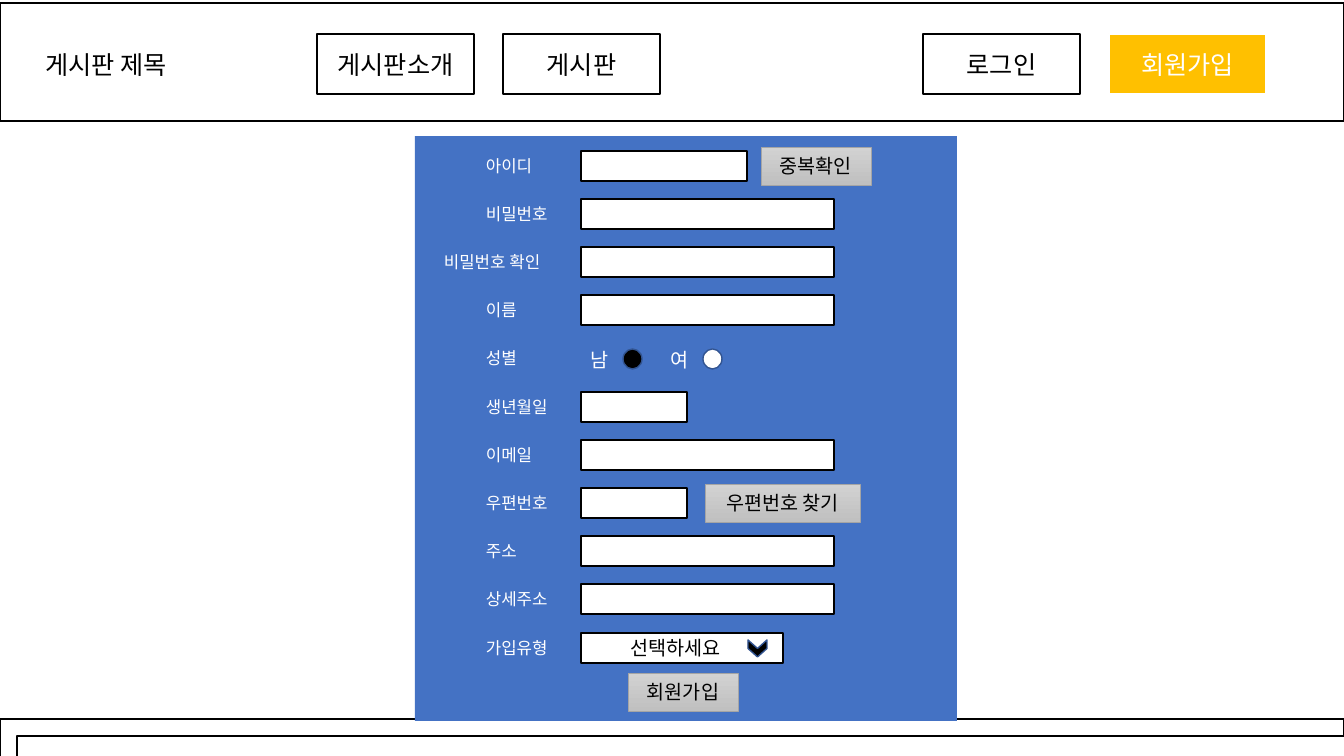
from collections import namedtuple
from dataclasses import dataclass

from lxml.etree import SubElement
from pptx import Presentation
from pptx.dml.color import RGBColor
from pptx.enum.shapes import MSO_SHAPE as Shape
from pptx.enum.text import MSO_ANCHOR as Anchor, MSO_AUTO_SIZE as AutoSize, PP_ALIGN as Align
from pptx.oxml.ns import qn
from pptx.util import Emu, Pt

PX_PER_INCH = 100.8
Box = namedtuple("Box", "left top width height")


@dataclass(frozen=True)
class Theme:
    font: str = "Noto Sans CJK KR"
    black: str = "000000"
    white: str = "FFFFFF"
    accent: str = "FFC000"
    panel: str = "4472C4"
    mark_line: str = "325491"
    button_line: str = "A5A5A5"
    button_top: str = "D2D2D2"
    button_bottom: str = "C0C0C0"
    nav_size: int = 18
    control_size: int = 14
    label_size: int = 12


THEME = Theme()


def px(length):
    return Emu(round(length * 914400 / PX_PER_INCH))


def emu_box(box):
    return [px(length) for length in box]


def inside(outer, left, top, width, height):
    """Box given relative to the top left corner of another box."""
    return Box(outer.left + left, outer.top + top, width, height)


def rgb(colour):
    return RGBColor.from_string(colour)


def write(frame, text, size, colour, align=Align.LEFT, anchor=Anchor.TOP):
    frame.text = text
    frame.word_wrap = True
    frame.auto_size = AutoSize.NONE
    frame.vertical_anchor = anchor
    para = frame.paragraphs[0]
    para.alignment = align
    font = para.font
    font.size = Pt(size)
    font.color.rgb = rgb(colour)
    font.name = THEME.font
    SubElement(font._element, qn("a:ea"), typeface=THEME.font)


def add_block(page, box, fill=THEME.white, line=THEME.black, weight=1, kind=Shape.RECTANGLE):
    block = page.shapes.add_shape(kind, *emu_box(box))
    block.shadow.inherit = False
    block.fill.solid()
    block.fill.fore_color.rgb = rgb(fill)
    if line:
        block.line.color.rgb = rgb(line)
        block.line.width = Pt(weight)
    else:
        block.line.fill.background()
    return block


def add_label(page, box, text, size=THEME.label_size):
    label = page.shapes.add_textbox(*emu_box(box))
    write(label.text_frame, text, size, THEME.white)


def add_button(page, box, text):
    button = add_block(page, box, line=THEME.button_line, weight=0.5)
    button.fill.gradient()
    button.fill.gradient_angle = 270
    for stop, colour in zip(button.fill.gradient_stops, (THEME.button_top, THEME.button_bottom)):
        stop.color.rgb = rgb(colour)
    write(button.text_frame, text, THEME.control_size, THEME.black, Align.CENTER, Anchor.MIDDLE)


def add_header(page, box):
    add_block(page, box)
    title = page.shapes.title
    title.left, title.top, title.width, title.height = emu_box(inside(box, 35, 41, 157, 40))
    write(title.text_frame, "게시판 제목", THEME.nav_size, THEME.black)
    page.shapes._spTree.append(title._element)  # bring the title in front of the bar

    plain = (THEME.white, THEME.black, 1, THEME.black)
    strong = (THEME.accent, THEME.white, 1.5, THEME.white)
    for left, text, (fill, line, weight, ink) in (
        (317, "게시판소개", plain),
        (503, "게시판", plain),
        (923, "로그인", plain),
        (1109, "회원가입", strong),
    ):
        item = add_block(page, inside(box, left, 31, 157, 60), fill, line, weight)
        write(item.text_frame, text, THEME.nav_size, ink, Align.CENTER, Anchor.MIDDLE)


def add_radio(page, box, text, fill):
    add_label(page, box, text, THEME.control_size)
    add_block(page, inside(box, 42, 6, 19, 20), fill, THEME.mark_line, kind=Shape.OVAL)


def add_select(page, box, text):
    select = add_block(page, box)
    frame = select.text_frame
    write(frame, text, THEME.control_size, THEME.black, Align.CENTER, Anchor.MIDDLE)
    frame.margin_right = px(22)
    arrow = add_block(page, inside(box, 168, 6, 17, 19), THEME.black, THEME.mark_line,
                      kind=Shape.CHEVRON)
    arrow.rotation = 90


def add_form(page, box):
    add_block(page, box, THEME.panel, line=None)
    label_left, field_left, row_height = 61, 166, 30
    short, medium, choice, full = 106, 166, 202, 253
    rows = (
        ("아이디", medium),
        ("비밀번호", full),
        ("비밀번호 확인", full),
        ("이름", full),
        ("성별", None),
        ("생년월일", short),
        ("이메일", full),
        ("우편번호", short),
        ("주소", full),
        ("상세주소", full),
        ("가입유형", choice),
    )
    buttons = {"아이디": ("중복확인", 346, 110), "우편번호": ("우편번호 찾기", 290, 155)}
    outdents = {"비밀번호 확인": 42}

    for row, (name, width) in enumerate(rows):
        top = 15 + row * 482 // 10
        outdent = outdents.get(name, 0)
        add_label(page, inside(box, label_left - outdent, top, 95 + outdent, row_height), name)
        if name == "성별":
            for left, text, fill in ((0, "남", THEME.black), (80, "여", THEME.white)):
                add_radio(page, inside(box, field_left + left, top, 42, 34), text, fill)
        elif name == "가입유형":
            add_select(page, inside(box, field_left, top, width, row_height), "선택하세요")
        else:
            add_block(page, inside(box, field_left, top, width, row_height))
        if name in buttons:
            text, left, button_width = buttons[name]
            add_button(page, inside(box, left, top - 4, button_width, 38), text)

    add_button(page, inside(box, 213, 537, 110, 38), "회원가입")


def main():
    deck = Presentation()
    deck.slide_width, deck.slide_height = px(1344), px(756)
    page = deck.slides.add_slide(deck.slide_layouts.get_by_name("Title Only"))
    add_header(page, Box(0, 3, 1344, 118))
    footer = Box(0, 719, 1344, 67)
    add_block(page, footer)
    add_block(page, inside(footer, 17, 17, footer.width, footer.height))
    add_form(page, Box(415, 136, 542, 585))
    deck.save("out.pptx")


if __name__ == "__main__":
    main()
